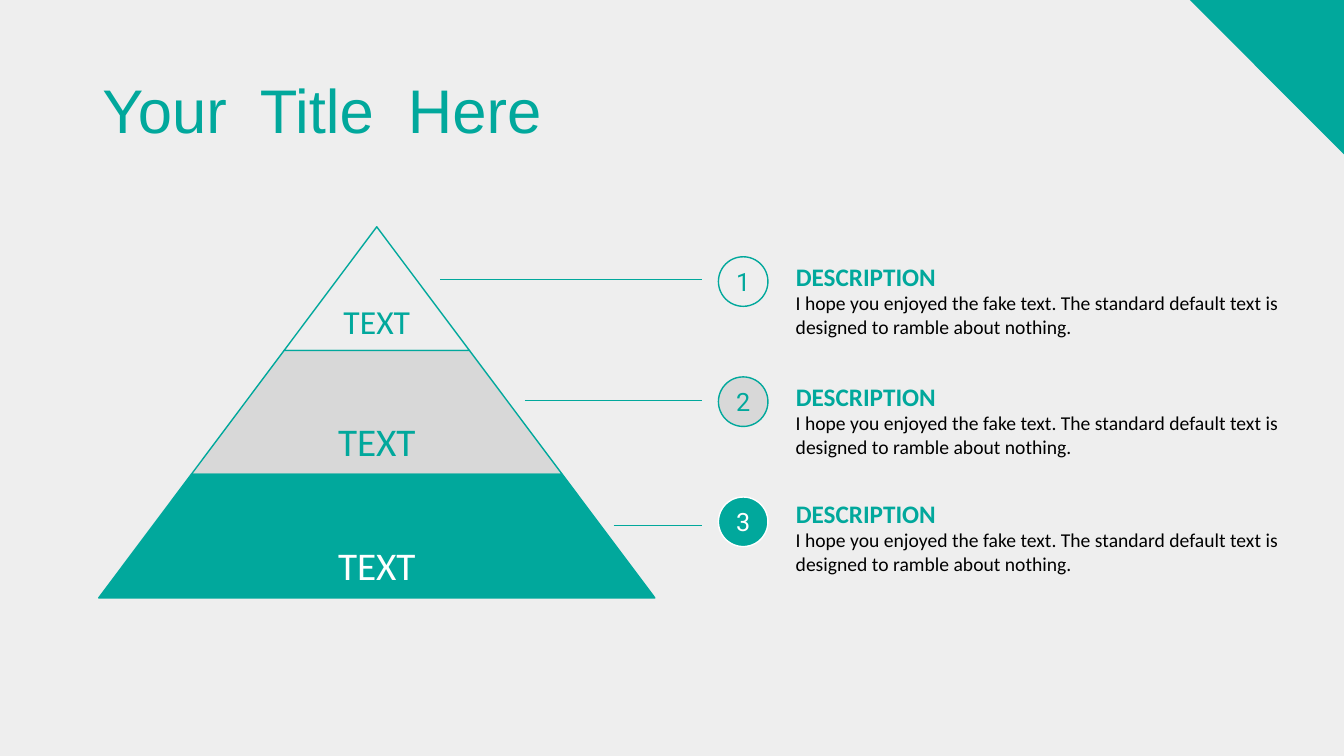
from lxml import etree
from pptx import Presentation
from pptx.dml.color import RGBColor
from pptx.enum import shapes, text
from pptx.oxml import ns
from pptx.util import Pt

TEAL = RGBColor(0x01, 0xA8, 0x9C)
SILVER = RGBColor(0xD8, 0xD8, 0xD8)
PALE = RGBColor(0xEE, 0xEE, 0xEE)
WHITE = RGBColor(0xFF, 0xFF, 0xFF)
BLACK = RGBColor(0, 0, 0)

SLIDE_WIDTH, SLIDE_HEIGHT = 960.48, 540
CORNER = 110.2
APEX_X, APEX_Y = 269.28, 162
TIER_HEIGHT, TIER_SPREAD = 88.35, 66.24
LEADER_END = 501.84
BADGE_LEFT, BADGE_TOP, BADGE_STEP, BADGE_SIZE = 513.4, 183.4, 85.8, 35.4
NOTE_LEFT, BODY_OFFSET = 561.6, 21.2
BODY = ("I hope you enjoyed the fake text. The standard default text is "
        "designed to ramble about nothing.")

# fill, line colour, text colour, label size, leader start, leader y, note top
LEVELS = [
    (None, TEAL, TEAL, 24, 314.6, 199.6, 183.4),
    (SILVER, TEAL, TEAL, 28, 375.1, 285.8, 268.9),
    (TEAL, WHITE, WHITE, 28, 438.5, 375.2, 352.4),
]


def paint(shape, fill, line):
    """Set a shape's fill and outline, with None for an empty one."""
    shape.shadow.inherit = False
    if fill is None:
        shape.fill.background()
    else:
        shape.fill.solid()
        shape.fill.fore_color.rgb = fill
    if line is None:
        shape.line.fill.background()
    else:
        shape.line.color.rgb = line
        shape.line.width = Pt(1)


def write(shape, wording, font, size, color, align=text.PP_ALIGN.LEFT,
          anchor=text.MSO_ANCHOR.TOP, bold=False, spacing=1.0):
    """Put one styled paragraph into a shape."""
    frame = shape.text_frame
    frame.word_wrap = True
    frame.vertical_anchor = anchor
    para = frame.paragraphs[0]
    para.text = wording
    para.alignment = align
    para.line_spacing = spacing
    para.font.name = font
    para.font.size = Pt(size)
    para.font.bold = bold
    para.font.color.rgb = color


def add_text(page, left, top, width, height, *style, **options):
    """Add a text box."""
    box = page.shapes.add_textbox(Pt(left), Pt(top), Pt(width), Pt(height))
    write(box, *style, **options)


def add_corner(page):
    """Add the triangle in the top right corner."""
    corner = page.shapes.add_shape(
        shapes.MSO_SHAPE.RIGHT_TRIANGLE, Pt(SLIDE_WIDTH - CORNER), 0,
        Pt(CORNER), Pt(CORNER))
    corner.rotation = 180
    paint(corner, TEAL, None)


def add_tier(page, index, fill, color, size):
    """Add one labelled slice of the pyramid."""
    top, bottom = (APEX_Y + TIER_HEIGHT * row for row in (index, index + 1))
    upper, lower = TIER_SPREAD * index, TIER_SPREAD * (index + 1)
    builder = page.shapes.build_freeform(Pt(APEX_X - lower), Pt(bottom))
    builder.add_line_segments([
        (Pt(APEX_X - upper), Pt(top)),
        (Pt(APEX_X + upper), Pt(top)),
        (Pt(APEX_X + lower), Pt(bottom)),
    ])
    tier = builder.convert_to_shape()
    paint(tier, fill, TEAL)
    frame = tier.text_frame
    frame.margin_left = frame.margin_right = Pt(6.5)
    frame.margin_top = frame.margin_bottom = Pt(6.5)
    write(tier, "TEXT", "Calibri", size, color, text.PP_ALIGN.CENTER,
          text.MSO_ANCHOR.BOTTOM, spacing=0.9)


def add_leader(page, start, height):
    """Add a thin level line from the pyramid towards a badge."""
    leader = page.shapes.add_connector(
        shapes.MSO_CONNECTOR.STRAIGHT, Pt(start), Pt(height),
        Pt(LEADER_END), Pt(height))
    leader.line.color.rgb = TEAL
    leader.line.width = Pt(0.5)
    etree.SubElement(leader._element.spPr, ns.qn("a:effectLst"))


def add_badge(page, index, fill, line, color):
    """Add a numbered circle."""
    badge = page.shapes.add_shape(
        shapes.MSO_SHAPE.OVAL, Pt(BADGE_LEFT),
        Pt(BADGE_TOP + BADGE_STEP * index), Pt(BADGE_SIZE), Pt(BADGE_SIZE))
    paint(badge, fill, line)
    write(badge, str(index + 1), "Roboto", 18, color,
          text.PP_ALIGN.CENTER, text.MSO_ANCHOR.MIDDLE)


def add_note(page, top):
    """Add a heading with its description."""
    add_text(page, NOTE_LEFT, top, 179.3, 28.8,
             "DESCRIPTION", "Calibri", 18, TEAL, bold=True)
    add_text(page, NOTE_LEFT, top + BODY_OFFSET, 365, 41,
             BODY, "Calibri", 14, BLACK)


def main():
    """Build the pyramid slide."""
    deck = Presentation()
    deck.slide_width, deck.slide_height = Pt(SLIDE_WIDTH), Pt(SLIDE_HEIGHT)
    page = deck.slides.add_slide(deck.slide_layouts[6])
    page.background.fill.solid()
    page.background.fill.fore_color.rgb = PALE
    add_corner(page)
    add_text(page, 66.2, 28.8, 828, 104.4, "Your  Title  Here", "Arial", 44,
             TEAL, anchor=text.MSO_ANCHOR.MIDDLE, spacing=0.9)
    for index, level in enumerate(LEVELS):
        fill, line, color, size, start, height, note_top = level
        add_tier(page, index, fill, color, size)
        add_leader(page, start, height)
        add_badge(page, index, fill, line, color)
        add_note(page, note_top)
    deck.save("out.pptx")


if __name__ == "__main__":
    main()
